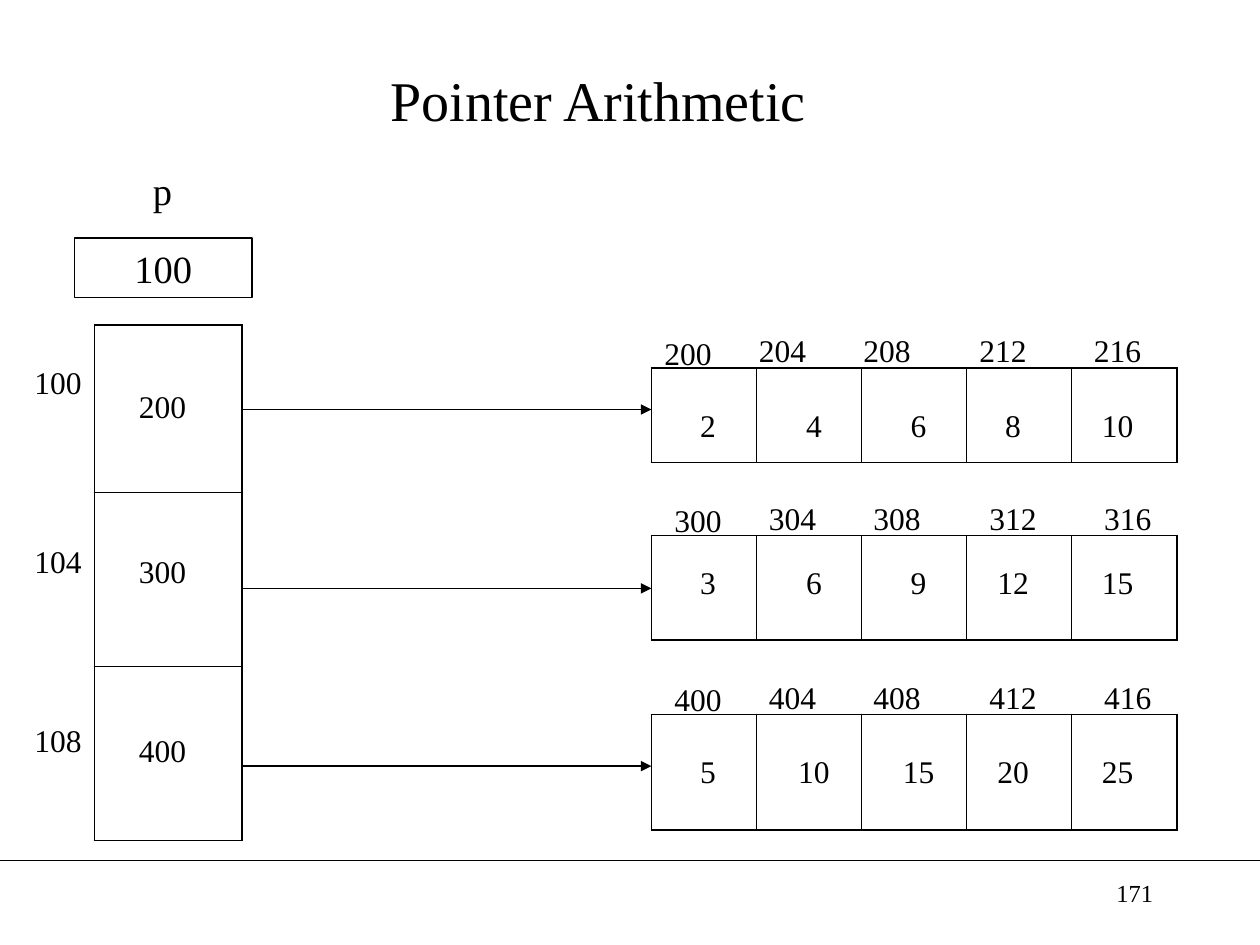
from lxml import etree
from pptx import Presentation
from pptx.dml.color import RGBColor
from pptx.enum.shapes import MSO_CONNECTOR as Connector, MSO_SHAPE as Shape
from pptx.enum.text import MSO_ANCHOR as Anchor, MSO_AUTO_SIZE as AutoSize, PP_ALIGN as Align
from pptx.oxml.ns import qn
from pptx.util import Inches, Pt

BLACK = RGBColor(0x00, 0x00, 0x00)
FONT = "Times New Roman"
LABEL_SIZE = (0.58, 0.4)
OUTER, INNER = 1.08, 0.45  # table border widths in points

POINTERS_BOX = (0.75, 2.58, 1.17, 4.08)
POINTER_ROWS = [1.33, 1.38, 1.38]
ARRAY_LEFT, ARRAY_WIDTH, ARRAY_COLUMNS = 5.17, 4.17, 5
ADDRESS_OFFSETS = [0, 0.75, 1.58, 2.5, 3.41]
VALUE_OFFSETS = [0.16, 1, 1.83, 2.58, 3.41]

POINTERS = [  # address, its top, stored pointer, its top
    (100, 2.83, 200, 3.02),
    (104, 4.25, 300, 4.33),
    (108, 5.67, 400, 5.75),
]
ARRAYS = [
    {"top": 2.92, "height": 0.75, "start": 200, "shift": 0,
     "value_top": 3.17, "arrow": 3.25, "values": [2, 4, 6, 8, 10]},
    {"top": 4.25, "height": 0.83, "start": 300, "shift": 0.08,
     "value_top": 4.42, "arrow": 4.67, "values": [3, 6, 9, 12, 15]},
    {"top": 5.67, "height": 0.92, "start": 400, "shift": 0.08,
     "value_top": 5.92, "arrow": 6.08, "values": [5, 10, 15, 20, 25]},
]


def inches(box):
    return [Inches(length) for length in box]


def write(shape, text, size, align=Align.CENTER, **frame_format):
    frame = shape.text_frame
    for name, value in {"word_wrap": True, **frame_format}.items():
        setattr(frame, name, value)
    paragraph = frame.paragraphs[0]
    paragraph.alignment = align
    run = paragraph.add_run()
    run.text = str(text)
    for name, value in {"name": FONT, "size": Pt(size)}.items():
        setattr(run.font, name, value)
    run.font.color.rgb = BLACK


def add_text(slide, box, text, size=18, align=Align.CENTER, **frame_format):
    write(slide.shapes.add_textbox(*inches(box)), text, size, align, **frame_format)


def add_label(slide, left, top, text):
    add_text(slide, (left, top, *LABEL_SIZE), text, auto_size=AutoSize.SHAPE_TO_FIT_TEXT)


def add_line(slide, start, end, arrow=False):
    line = slide.shapes.add_connector(Connector.STRAIGHT, *inches(start + end))
    line.line.color.rgb = BLACK
    line.line.width = Pt(0.75)
    if arrow:
        etree.SubElement(line.line._get_or_add_ln(), qn("a:tailEnd"), type="triangle")
    etree.SubElement(line._element.spPr, qn("a:effectLst"))


def add_border(cell, side, width):
    border = etree.SubElement(cell._tc.get_or_add_tcPr(), qn(f"a:ln{side}"), w=str(Pt(width)))
    fill = etree.SubElement(border, qn("a:solidFill"))
    etree.SubElement(fill, qn("a:srgbClr"), val=str(BLACK))


def add_grid(slide, box, row_heights, column_count):
    """Empty table with heavy outer and fine inner borders."""
    row_count = len(row_heights)
    table = slide.shapes.add_table(row_count, column_count, *inches(box)).table
    table.first_row = table.horz_banding = False
    for column in table.columns:
        column.width = Inches(box[2] / column_count)
    for row_index, height in enumerate(row_heights):
        table.rows[row_index].height = Inches(height)
        for column_index in range(column_count):
            cell = table.cell(row_index, column_index)
            on_edge = {
                "L": column_index == 0,
                "R": column_index == column_count - 1,
                "T": row_index == 0,
                "B": row_index == row_count - 1,
            }
            for side, is_outer in on_edge.items():
                add_border(cell, side, OUTER if is_outer else INNER)
            cell.fill.background()


def add_title(slide, box):
    title = slide.shapes.title
    for name, value in zip(("left", "top", "width", "height"), inches(box)):
        setattr(title, name, value)
    write(title, "Pointer Arithmetic", 32, vertical_anchor=Anchor.MIDDLE)


def add_variable(slide, box):
    """Name of the pointer variable above the box with its value."""
    left, top, width, height = box
    add_text(slide, (left + 0.24, top - 0.61, 0.92, 0.47), "p", 22)
    rectangle = slide.shapes.add_shape(Shape.RECTANGLE, *inches(box))
    rectangle.shadow.inherit = False
    rectangle.fill.background()
    rectangle.line.color.rgb = BLACK
    rectangle.line.width = Pt(0.75)
    write(rectangle, 100, 22, word_wrap=False, vertical_anchor=Anchor.MIDDLE)


def add_pointers(slide, box):
    """Column of stored pointers with their addresses on the left."""
    add_grid(slide, box, POINTER_ROWS, 1)
    left = box[0]
    for address, address_top, pointer, pointer_top in POINTERS:
        add_label(slide, left - LABEL_SIZE[0], address_top, address)
        add_label(slide, left + 0.25, pointer_top, pointer)


def add_array(slide, box, array):
    """Row of values with an address above each cell."""
    left, top, width, height = box
    add_grid(slide, box, [height], ARRAY_COLUMNS)
    for index, value in enumerate(array["values"]):
        address_left = left + array["shift"] + ADDRESS_OFFSETS[index]
        address_top = top - (0.32 if index == 0 else 0.34)
        add_label(slide, address_left, address_top, array["start"] + 4 * index)
        add_label(slide, left + VALUE_OFFSETS[index], array["value_top"], value)


def add_footer(slide, box):
    left, top, width, height = box
    add_line(slide, (left, top), (left + width, top))
    add_text(slide, (7.17, top + 0.09, 2.08, 0.5), 171, 14, Align.RIGHT)


def main():
    presentation = Presentation()
    presentation.slide_width, presentation.slide_height = Inches(10), Inches(7.5)
    slide = presentation.slides.add_slide(presentation.slide_layouts[5])

    add_footer(slide, (0, 6.83, 10, 0.67))
    add_title(slide, (0.5, 0.25, 8.5, 1.08))
    add_variable(slide, (0.59, 1.89, 1.41, 0.47))
    add_pointers(slide, POINTERS_BOX)

    # Arrays and the arrows that lead to them
    pointers_right = POINTERS_BOX[0] + POINTERS_BOX[2]
    for array in ARRAYS:
        add_array(slide, (ARRAY_LEFT, array["top"], ARRAY_WIDTH, array["height"]), array)
        add_line(slide, (pointers_right, array["arrow"]), (ARRAY_LEFT, array["arrow"]), arrow=True)

    presentation.save("out.pptx")


if __name__ == "__main__":
    main()
